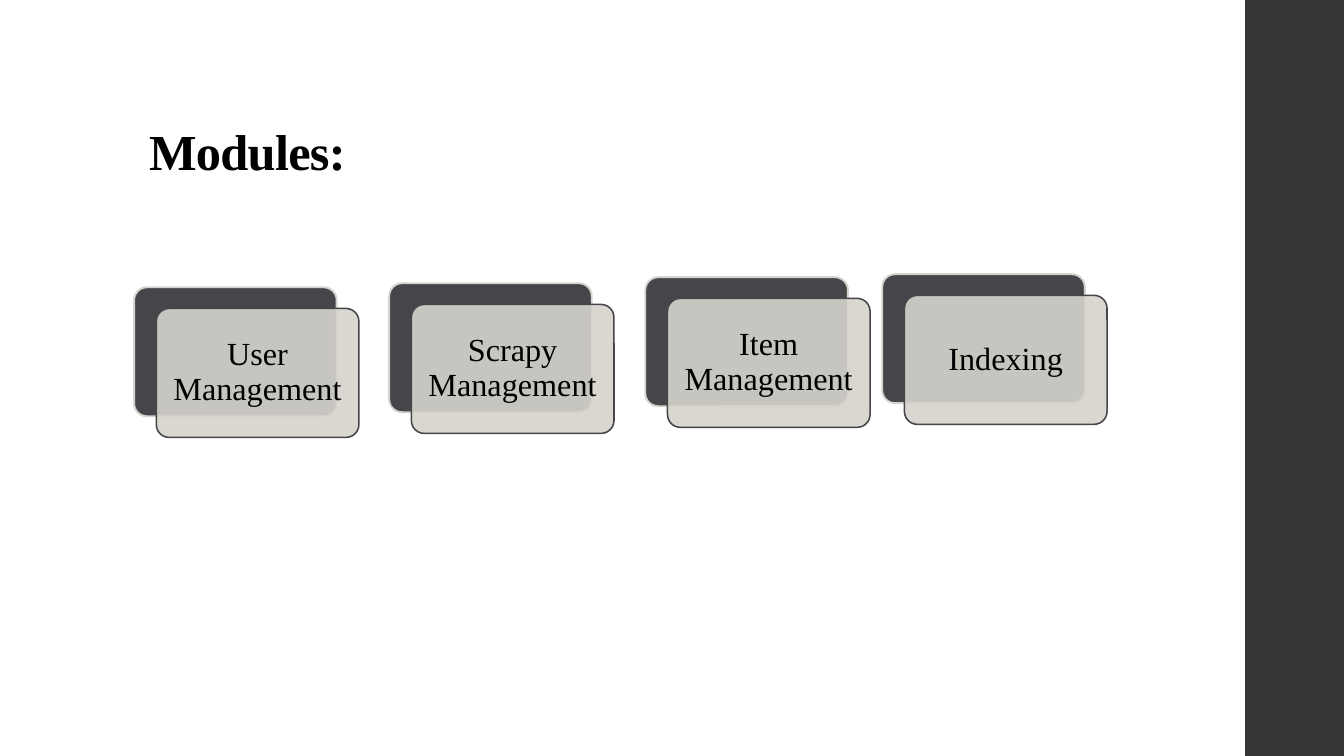
from lxml.etree import SubElement
from pptx import Presentation
from pptx.dml.color import RGBColor
from pptx.enum.shapes import MSO_SHAPE
from pptx.enum.text import MSO_ANCHOR, PP_ALIGN
from pptx.oxml.ns import qn
from pptx.util import Inches, Pt

COLORS = {"band": "353537", "dark": "46464A", "light": "D6D3CC", "text": "000000"}
FONT = "Times New Roman"
CARD_WIDTH, CARD_HEIGHT = 2.01, 1.28
CARD_OFFSET = 0.22
MODULES = [
    ("User Management", 1.33, 2.85),
    ("Scrapy Management", 3.86, 2.81),
    ("Item Management", 6.4, 2.75),
    ("Indexing", 8.75, 2.72),
]


def add_card(left, top, fill, line, line_width):
    card = page.shapes.add_shape(
        MSO_SHAPE.ROUNDED_RECTANGLE,
        Inches(left), Inches(top), Inches(CARD_WIDTH), Inches(CARD_HEIGHT),
    )
    card.adjustments[0] = 0.1
    card.shadow.inherit = False
    card.fill.solid()
    card.fill.fore_color.rgb = RGBColor.from_string(COLORS[fill])
    card.line.color.rgb = RGBColor.from_string(COLORS[line])
    card.line.width = Pt(line_width)
    return card


def add_text(para, text, size):
    para.line_spacing = 0.9
    span = para.add_run()
    span.text = text
    span.font.name = FONT
    span.font.size = Pt(size)
    span.font.color.rgb = RGBColor.from_string(COLORS["text"])
    return span


deck = Presentation()
deck.slide_width, deck.slide_height = Inches(13.33), Inches(7.5)
page = deck.slides.add_slide(deck.slide_layouts[6])

band = page.shapes.add_shape(
    MSO_SHAPE.RECTANGLE, Inches(12.35), 0, Inches(0.98), Inches(7.5)
)
band.shadow.inherit = False
band.fill.solid()
band.fill.fore_color.rgb = RGBColor.from_string(COLORS["band"])
band.line.fill.background()

title = page.shapes.add_textbox(Inches(1.38), Inches(0.4), Inches(10.6), Inches(1.45))
title.text_frame.word_wrap = True
title.text_frame.vertical_anchor = MSO_ANCHOR.BOTTOM
title_span = add_text(title.text_frame.paragraphs[0], "Modules:", 36)
title_span.font.bold = True
title_span.font._element.set("spc", "-50")

for name, left, top in MODULES:
    add_card(left, top, "dark", "light", 1.35)
    front = add_card(left + CARD_OFFSET, top + CARD_OFFSET - 0.01, "light", "dark", 1.1)
    # Let the dark card show faintly through the front one
    front_color = front.fill._xPr.find(qn("a:solidFill"))[0]
    SubElement(front_color, qn("a:alpha")).set("val", "90000")

    frame = front.text_frame
    frame.word_wrap = True
    frame.vertical_anchor = MSO_ANCHOR.MIDDLE
    frame.margin_left = frame.margin_right = Inches(0.1)
    frame.margin_top = frame.margin_bottom = Inches(0.1)
    para = frame.paragraphs[0]
    para.alignment = PP_ALIGN.CENTER
    add_text(para, name, 23)

deck.save("out.pptx")
